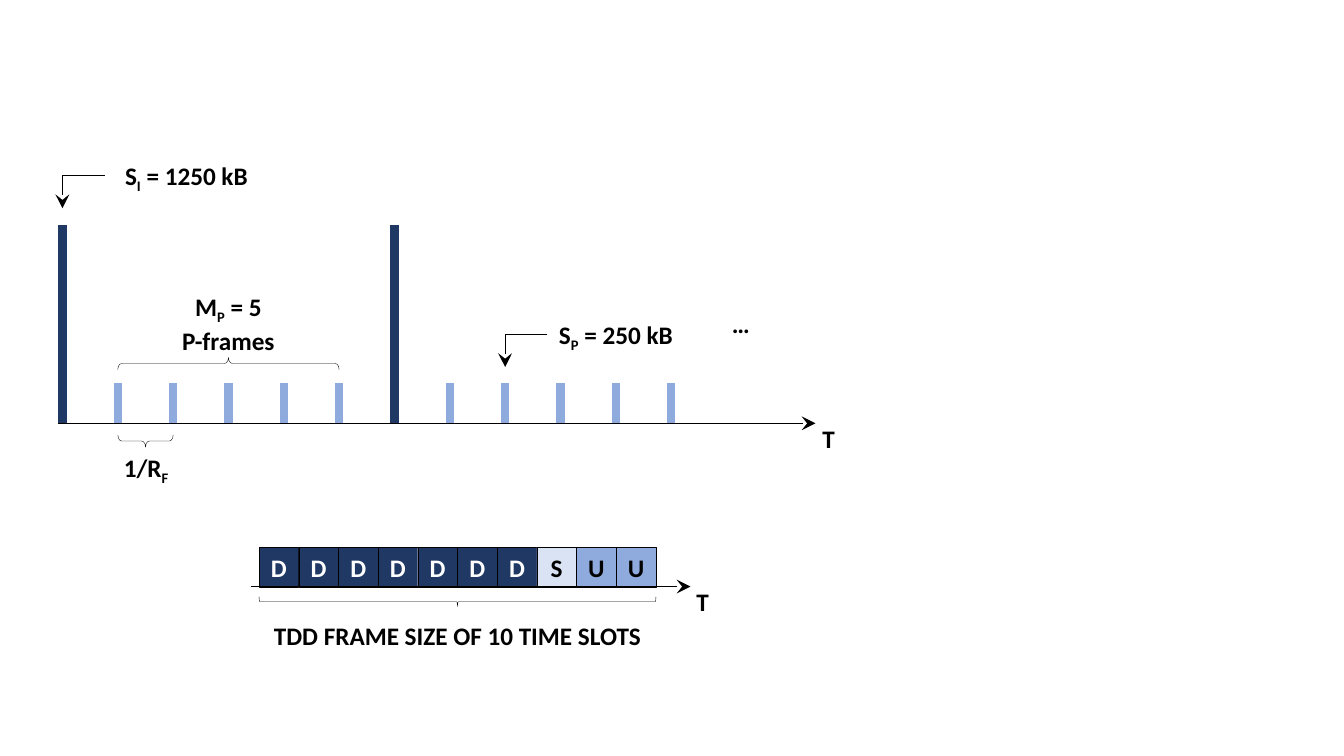
from typing import NamedTuple

from lxml import etree
from pptx import Presentation
from pptx import util as u
from pptx.dml.color import RGBColor
from pptx.enum import shapes, text
from pptx.oxml.ns import qn

COLORS = {"black": "000000", "white": "FFFFFF", "navy": "203864",
          "blue": "8FAADC", "pale": "DAE3F3"}
FONT, FONT_SIZE = "Calibri", 18
HAIRLINE, BAR_WIDTH = 0.25, 6

FIRST_FRAME_X, FRAME_PITCH, FRAME_COUNT = 44.64, 39.53, 12
FRAMES_PER_GROUP = 6
FRAME_AXIS_Y, I_FRAME_TOP, P_FRAME_TOP = 302.4, 160.6, 273.6

SLOTS = "DDDDDDDSUU"
SLOT_X, SLOT_Y, SLOT_SIZE = 185.04, 390.8, 28.35
SLOT_STYLES = {"D": ("navy", "white"), "S": ("pale", "black"), "U": ("blue", "black")}


class Run(NamedTuple):
    text: str
    subscript: bool = False


class Label(NamedTuple):
    left: float
    top: float
    width: float
    height: float
    lines: list[list[Run]]
    middle: bool = False
    wrap: bool = True


class Brace(NamedTuple):
    """A curly brace lying flat; the box is the one seen on the slide."""
    left: float
    top: float
    width: float
    height: float
    kind: shapes.MSO_SHAPE
    rotation: int
    curl: float


class Axis(NamedTuple):
    start: float
    end: float
    y: float


class Callout(NamedTuple):
    x: float
    top: float


LABELS = [
    Label(74.9, 110.9, 116.6, 28.8, [[Run("S"), Run("I", True), Run(" = 1250 kB")]]),
    Label(122.4, 204.5, 81.4, 51.1,
          [[Run("M"), Run("P", True), Run(" = 5")], [Run("P-frames")]], wrap=False),
    Label(391, 224.6, 97.9, 28.8,
          [[Run("S"), Run("P", True), Run(" = 250 kB")]], wrap=False),
    Label(501.1, 216.7, 56.2, 28.8, [[Run("…")]]),
    Label(80.6, 319.7, 47.5, 28.8, [[Run("1/R"), Run("F", True)]], wrap=False),
    Label(580.3, 301.7, 23, 22.3, [[Run("T")]], middle=True),
    Label(490.3, 418.3, 23, 22.3, [[Run("T")]], middle=True),
    Label(185, 437, 283.7, 33.8, [[Run("TDD FRAME SIZE OF 10 TIME SLOTS")]], middle=True),
]

FIRST_P_X = FIRST_FRAME_X + FRAME_PITCH
BRACES = [
    Brace(FIRST_P_X, 255.3, 4 * FRAME_PITCH, 8.64,
          shapes.MSO_SHAPE.RIGHT_BRACE, 270, 0.319),
    Brace(FIRST_P_X, 310.7, FRAME_PITCH, 8.64,
          shapes.MSO_SHAPE.RIGHT_BRACE, 90, 0.319),
    Brace(SLOT_X, 426.2, len(SLOTS) * SLOT_SIZE, 7.2,
          shapes.MSO_SHAPE.LEFT_BRACE, 270, 0.083),
]
AXES = [Axis(41.8, 582.5, FRAME_AXIS_Y), Axis(179.3, 493.2, 419)]
CALLOUTS = [Callout(FIRST_FRAME_X, 125.5), Callout(FIRST_FRAME_X + 8 * FRAME_PITCH, 238.9)]


def rgb(name: str) -> RGBColor:
    return RGBColor.from_string(COLORS[name])


def write(frame, lines: list[list[Run]], color: str, middle: bool, wrap: bool) -> None:
    frame.word_wrap = wrap
    frame.vertical_anchor = text.MSO_ANCHOR.MIDDLE if middle else text.MSO_ANCHOR.TOP
    paragraph = frame.paragraphs[0]
    paragraph.alignment = text.PP_ALIGN.CENTER
    for number, line in enumerate(lines):
        if number:
            paragraph.add_line_break()
        for part in line:
            run = paragraph.add_run()
            run.text = part.text
            run.font.name, run.font.size, run.font.bold = FONT, u.Pt(FONT_SIZE), True
            run.font.color.rgb = rgb(color)
            if part.subscript:
                run.font._element.set("baseline", "-25000")


def outline(shape, color: str, width: float) -> None:
    shape.line.color.rgb = rgb(color)
    shape.line.width = u.Pt(width)


def add_line(slide, x1: float, y1: float, x2: float, y2: float, color: str = "black",
             width: float = HAIRLINE, arrow: bool = False,
             kind: shapes.MSO_CONNECTOR = shapes.MSO_CONNECTOR.STRAIGHT):
    line = slide.shapes.add_connector(kind, u.Pt(x1), u.Pt(y1), u.Pt(x2), u.Pt(y2))
    outline(line, color, width)
    properties = line._element.spPr
    if arrow:
        etree.SubElement(properties.find(qn("a:ln")), qn("a:tailEnd"),
                         type="stealth", w="lg", len="lg")
    etree.SubElement(properties, qn("a:effectLst"))
    return line


def add_frames(slide) -> None:
    for index in range(FRAME_COUNT):
        x = FIRST_FRAME_X + index * FRAME_PITCH
        is_i_frame = index % FRAMES_PER_GROUP == 0
        top, color = (I_FRAME_TOP, "navy") if is_i_frame else (P_FRAME_TOP, "blue")
        add_line(slide, x, top, x, FRAME_AXIS_Y, color, BAR_WIDTH)


def add_slots(slide) -> None:
    for index, letter in enumerate(SLOTS):
        fill, ink = SLOT_STYLES[letter]
        slot = slide.shapes.add_shape(
            shapes.MSO_SHAPE.RECTANGLE, u.Pt(SLOT_X + index * SLOT_SIZE), u.Pt(SLOT_Y),
            u.Pt(SLOT_SIZE), u.Pt(SLOT_SIZE))
        slot.shadow.inherit = False
        slot.fill.solid()
        slot.fill.fore_color.rgb = rgb(fill)
        outline(slot, "black", HAIRLINE)
        write(slot.text_frame, [[Run(letter)]], ink, middle=True, wrap=True)


def add_brace(slide, brace: Brace) -> None:
    """Draw the brace upright about the same centre, then turn it."""
    shift = (brace.width - brace.height) / 2
    shape = slide.shapes.add_shape(
        brace.kind, u.Pt(brace.left + shift), u.Pt(brace.top - shift),
        u.Pt(brace.height), u.Pt(brace.width))
    shape.rotation = brace.rotation
    shape.adjustments[0] = brace.curl
    shape.shadow.inherit = False
    shape.fill.background()
    outline(shape, "black", HAIRLINE)


def add_callout(slide, callout: Callout) -> None:
    """Draw an elbow arrow that runs left and then down onto a frame."""
    elbow = add_line(slide, callout.x + 30.2, callout.top, callout.x, callout.top + 23.3,
                     arrow=True, kind=shapes.MSO_CONNECTOR.ELBOW)
    geometry = elbow._element.spPr.find(qn("a:prstGeom"))
    etree.SubElement(geometry.find(qn("a:avLst")), qn("a:gd"),
                     name="adj1", fmla="val 100200")


def add_label(slide, label: Label) -> None:
    box = slide.shapes.add_textbox(u.Pt(label.left), u.Pt(label.top),
                                   u.Pt(label.width), u.Pt(label.height))
    write(box.text_frame, label.lines, "black", label.middle, label.wrap)


def main() -> None:
    deck = Presentation()
    deck.slide_width, deck.slide_height = u.Pt(960), u.Pt(540)
    slide = deck.slides.add_slide(deck.slide_layouts[6])
    add_slots(slide)
    add_frames(slide)
    for axis in AXES:
        add_line(slide, axis.start, axis.y, axis.end, axis.y, arrow=True)
    for brace in BRACES:
        add_brace(slide, brace)
    for callout in CALLOUTS:
        add_callout(slide, callout)
    for label in LABELS:
        add_label(slide, label)
    deck.save("out.pptx")


if __name__ == "__main__":
    main()
